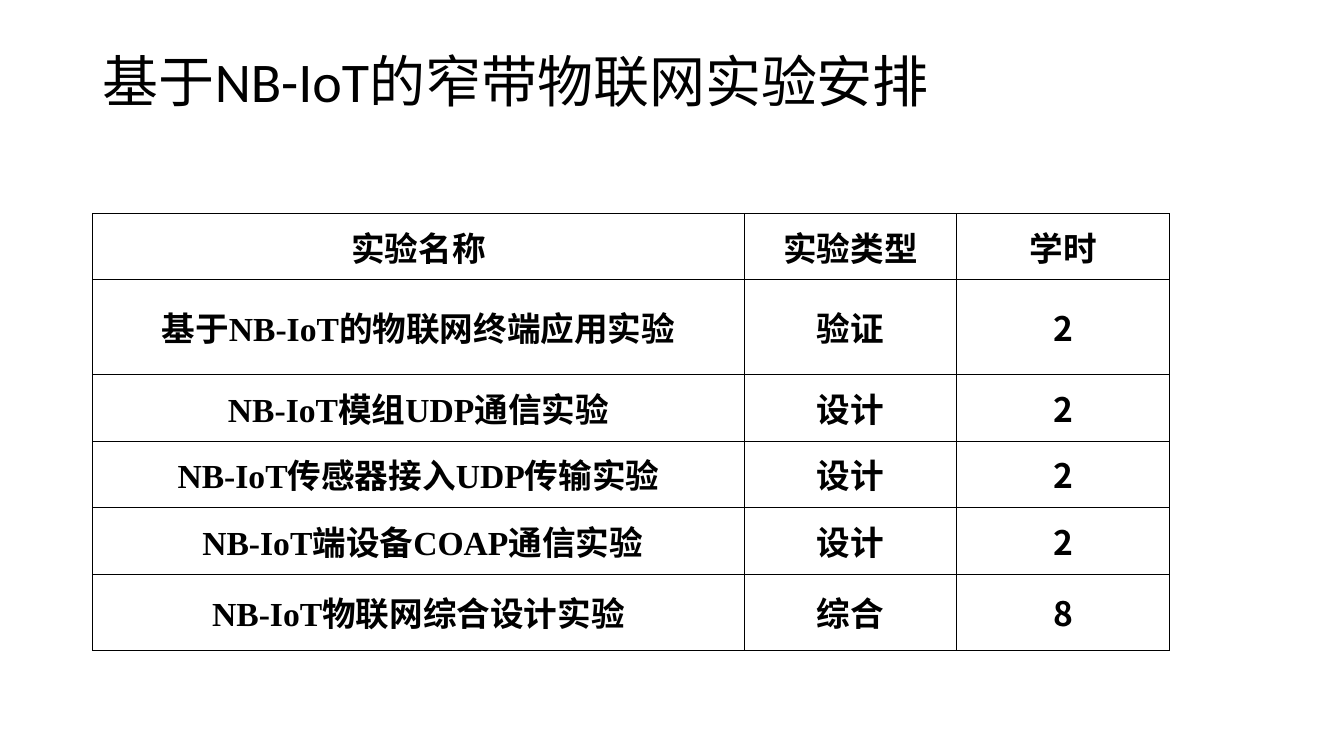
"""Builds the slide with the timetable of NB-IoT experiments."""
import pptx
import pptx.util
import pptx.dml.color
import pptx.enum.text
import pptx.oxml
import pptx.oxml.ns
from lxml import etree

INCH = pptx.util.Inches
ALIGN = pptx.enum.text.PP_ALIGN
MIDDLE = pptx.enum.text.MSO_ANCHOR.MIDDLE
HAN = "Noto Sans CJK SC"
BLACK = "000000"
LEFT = 0.92


def paint(hue):
    return pptx.dml.color.RGBColor.from_string(hue)


def style(frame, face, size, bold, align):
    para = frame.paragraphs[0]
    para.alignment = align
    font = para.runs[0].font
    font.name, font.size, font.bold = face, pptx.util.Pt(size), bold
    font.color.rgb = paint(BLACK)
    east = etree.SubElement(font._element, pptx.oxml.ns.qn("a:ea"))
    east.set("typeface", HAN)


deck = pptx.Presentation()
deck.slide_width, deck.slide_height = INCH(13.33), INCH(7.5)
slide = deck.slides.add_slide(deck.slide_layouts[5])

title = slide.shapes.title
title.left, title.top, title.width, title.height = map(INCH, (LEFT, 0.4, 11.5, 0.88))
title.text_frame.text = "基于NB-IoT的窄带物联网实验安排"
title.text_frame.vertical_anchor = MIDDLE
title.text_frame.paragraphs[0].line_spacing = 0.9
style(title.text_frame, "Calibri", 40, False, ALIGN.LEFT)

rows = [
    ("实验名称", "实验类型", "学时"),
    ("基于NB-IoT的物联网终端应用实验", "验证", "2"),
    ("NB-IoT模组UDP通信实验", "设计", "2"),
    ("NB-IoT传感器接入UDP传输实验", "设计", "2"),
    (" NB-IoT端设备COAP通信实验", "设计", "2"),
    ("NB-IoT物联网综合设计实验", "综合", "8"),
]
wide = [6.46, 2.11, 2.11]
high = [0.65, 0.94, 0.67, 0.65, 0.67, 0.75]
faces = ["Times New Roman", HAN, HAN]

grid = slide.shapes.add_table(
    len(rows), len(wide), INCH(LEFT), INCH(2.12), INCH(sum(wide)), INCH(sum(high))
).table
grid.first_row = grid.horz_banding = False
for col, width in zip(grid.columns, wide):
    col.width = INCH(width)

for r, row in enumerate(rows):
    grid.rows[r].height = INCH(high[r])
    for c, text in enumerate(row):
        cell = grid.cell(r, c)
        cell.text_frame.text = text
        cell.vertical_anchor = MIDDLE
        cell.margin_left = cell.margin_right = cell.margin_top = cell.margin_bottom = 0
        style(cell.text_frame, faces[c], 24, True, ALIGN.CENTER)
        props = cell._tc.get_or_add_tcPr()
        for side in "LRTB":
            line = etree.SubElement(props, pptx.oxml.ns.qn("a:ln" + side), w="6350")
            fill = etree.SubElement(line, pptx.oxml.ns.qn("a:solidFill"))
            etree.SubElement(fill, pptx.oxml.ns.qn("a:srgbClr"), val=BLACK)
        cell.fill.background()

deck.save("out.pptx")
